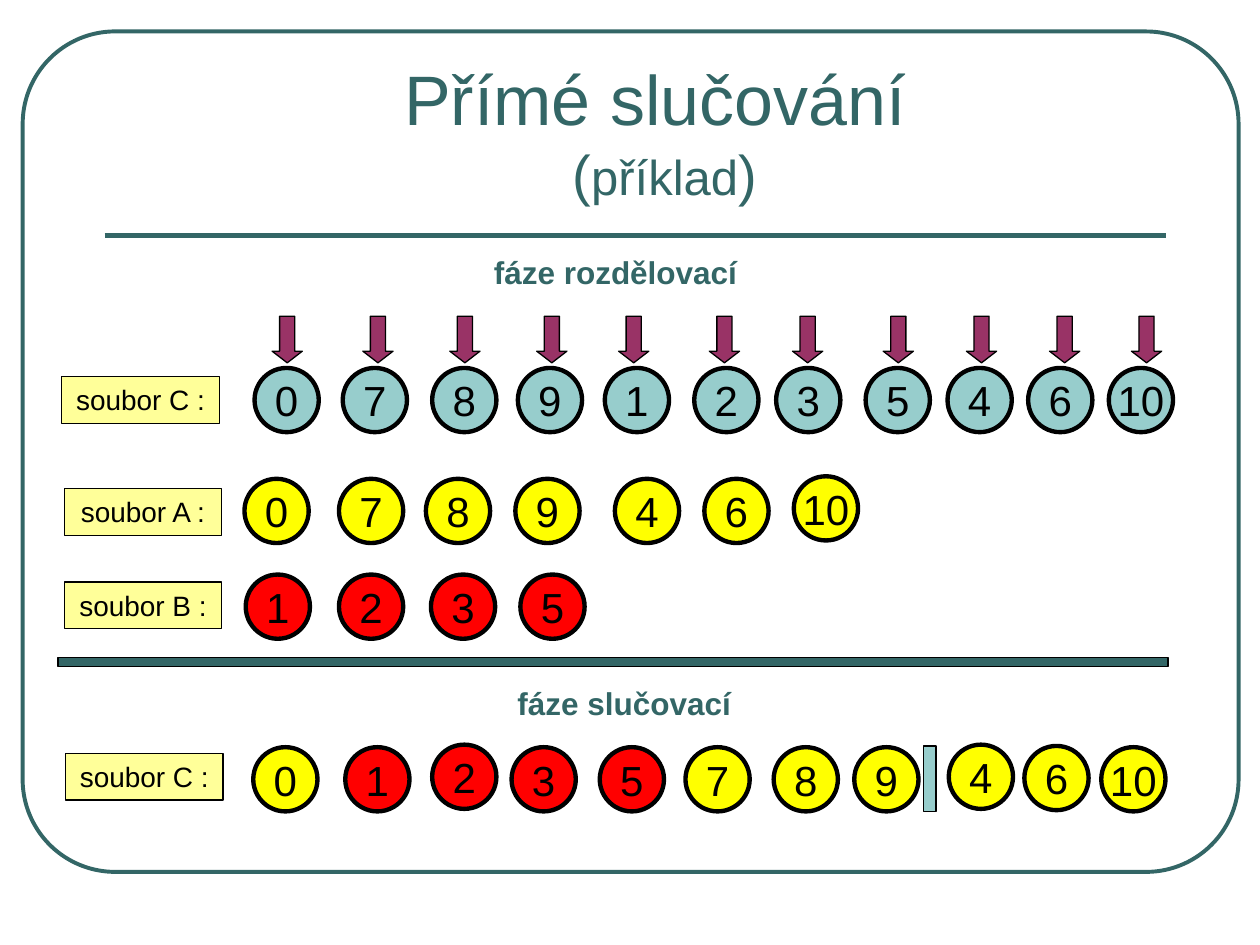
from pptx import Presentation
from pptx.dml.color import RGBColor
from pptx.enum.shapes import MSO_CONNECTOR, MSO_SHAPE
from pptx.enum.text import MSO_ANCHOR, MSO_AUTO_SIZE, PP_ALIGN
from pptx.oxml.ns import qn
from pptx.util import Inches, Pt
from lxml.etree import SubElement

TEAL = RGBColor(0x33, 0x66, 0x66)
LIGHT_TEAL = RGBColor(0x97, 0xCD, 0xCC)
YELLOW = RGBColor(0xFF, 0xFF, 0x00)
PALE_YELLOW = RGBColor(0xFF, 0xFF, 0x99)
RED = RGBColor(0xFF, 0x00, 0x00)
PLUM = RGBColor(0x99, 0x33, 0x66)
BLACK = RGBColor(0x00, 0x00, 0x00)
FONT = "Arial"
CIRCLE_SIZE = 0.51

# Each circle: number, left edge, top edge, fill
SOURCE_TOP, FILE_A_TOP, FILE_B_TOP, MERGED_TOP = 2.92, 3.8, 4.56, 5.93
SOURCE_FILE = [(number, left, SOURCE_TOP, LIGHT_TEAL) for number, left in (
    (0, 2.02), (7, 2.72), (8, 3.43), (9, 4.11), (1, 4.8), (2, 5.51),
    (3, 6.16), (5, 6.87), (4, 7.52), (6, 8.16), (10, 8.8))]
FILE_A = [(number, left, FILE_A_TOP, YELLOW) for number, left in (
    (0, 1.94), (7, 2.69), (8, 3.38), (9, 4.09), (4, 4.88), (6, 5.59))]
FILE_A.append((10, 6.3, 3.78, YELLOW))
FILE_B = [(number, left, FILE_B_TOP, RED) for number, left in (
    (1, 1.95), (2, 2.69), (3, 3.42), (5, 4.13))]
MERGED_FILE = [
    (0, 2.01, MERGED_TOP, YELLOW), (1, 2.74, MERGED_TOP, RED),
    (2, 3.43, 5.91, RED), (3, 4.06, MERGED_TOP, RED),
    (5, 4.76, MERGED_TOP, RED), (7, 5.44, MERGED_TOP, YELLOW),
    (8, 6.14, MERGED_TOP, YELLOW), (9, 6.78, MERGED_TOP, YELLOW),
    (4, 7.53, 5.91, YELLOW), (6, 8.13, 5.92, YELLOW),
    (10, 8.74, MERGED_TOP, YELLOW)]
ARROW_LEFTS = (2.16, 2.88, 3.57, 4.26, 4.91, 5.63, 6.29, 7.01, 7.67, 8.33, 8.98)
FILE_LABELS = (("soubor C :", 0.49, 2.99), ("soubor A :", 0.51, 3.88),
               ("soubor B :", 0.51, 4.62), ("soubor C :", 0.52, 5.98))


def add_box(slide, kind, left, top, width, height, fill, line_width=0.75, line=BLACK):
    shape = slide.shapes.add_shape(
        kind, Inches(left), Inches(top), Inches(width), Inches(height))
    shape.shadow.inherit = False
    if fill is None:
        shape.fill.background()
    else:
        shape.fill.solid()
        shape.fill.fore_color.rgb = fill
    shape.line.color.rgb = line
    shape.line.width = Pt(line_width)
    return shape


def format_run(run, size, color):
    run.font.name = FONT
    run.font.size = Pt(size)
    run.font.color.rgb = color


def write_text(shape, text, size, color=BLACK, anchor=MSO_ANCHOR.TOP, bold=False):
    frame = shape.text_frame
    frame.text = text
    frame.word_wrap = False
    frame.vertical_anchor = anchor
    paragraph = frame.paragraphs[0]
    paragraph.alignment = PP_ALIGN.CENTER
    format_run(paragraph.runs[0], size, color)
    paragraph.runs[0].font.bold = bold


def add_circle(slide, number, left, top, fill):
    circle = add_box(slide, MSO_SHAPE.OVAL, left, top,
                     CIRCLE_SIZE, CIRCLE_SIZE, fill, 2.5)
    write_text(circle, str(number), 24, anchor=MSO_ANCHOR.MIDDLE)


def add_file_label(slide, text, left, top):
    label = add_box(slide, MSO_SHAPE.RECTANGLE, left, top, 1.25, 0.37, PALE_YELLOW)
    write_text(label, text, 16)


def add_arrow(slide, left):
    arrow = add_box(slide, MSO_SHAPE.DOWN_ARROW, left, 2.51, 0.24, 0.37, PLUM)
    arrow.adjustments[1] = 0.385


def add_phase_heading(slide, text, left, top, width):
    heading = slide.shapes.add_textbox(
        Inches(left), Inches(top), Inches(width), Inches(0.4))
    write_text(heading, text, 18, TEAL, bold=True)


def add_frame(slide):
    frame = add_box(slide, MSO_SHAPE.ROUNDED_RECTANGLE,
                    0.18, 0.25, 9.65, 6.67, None, 2.25, TEAL)
    frame.adjustments[0] = 0.11
    rule = slide.shapes.add_connector(
        MSO_CONNECTOR.STRAIGHT, Inches(0.83), Inches(1.87), Inches(9.25), Inches(1.87))
    rule.line.color.rgb = TEAL
    rule.line.width = Pt(3)
    SubElement(rule._element.spPr, qn("a:effectLst"))


def format_title(slide):
    title = slide.shapes.title
    title.left, title.top = Inches(1.29), Inches(0.74)
    title.width, title.height = Inches(7.97), Inches(0.95)
    frame = title.text_frame
    frame.auto_size = MSO_AUTO_SIZE.NONE
    frame.word_wrap = True
    frame.vertical_anchor = MSO_ANCHOR.BOTTOM
    paragraph = frame.paragraphs[0]
    paragraph.alignment = PP_ALIGN.CENTER
    for text, size in (("Přímé slučování ", 40), ("(", 32), ("příklad", 28), (")", 32)):
        run = paragraph.add_run()
        run.text = text
        format_run(run, size, TEAL)
        if size == 40:
            paragraph.add_line_break()


def main():
    presentation = Presentation()
    presentation.slide_width, presentation.slide_height = Inches(10), Inches(7.5)
    slide = presentation.slides.add_slide(presentation.slide_layouts[5])

    # Frame and title
    add_frame(slide)
    format_title(slide)

    # Files and their records
    for label in FILE_LABELS:
        add_file_label(slide, *label)
    for circle in SOURCE_FILE + FILE_A + FILE_B + MERGED_FILE:
        add_circle(slide, *circle)
    for left in ARROW_LEFTS:
        add_arrow(slide, left)

    # Phase headings, phase divider and run separator
    add_phase_heading(slide, "fáze rozdělovací", 3.78, 1.96, 2.21)
    add_phase_heading(slide, "fáze slučovací", 3.99, 5.38, 1.93)
    add_box(slide, MSO_SHAPE.RECTANGLE, 0.46, 5.22, 8.81, 0.07, TEAL)
    add_box(slide, MSO_SHAPE.RECTANGLE, 7.33, 5.92, 0.1, 0.52, LIGHT_TEAL)

    presentation.save("out.pptx")


if __name__ == "__main__":
    main()
